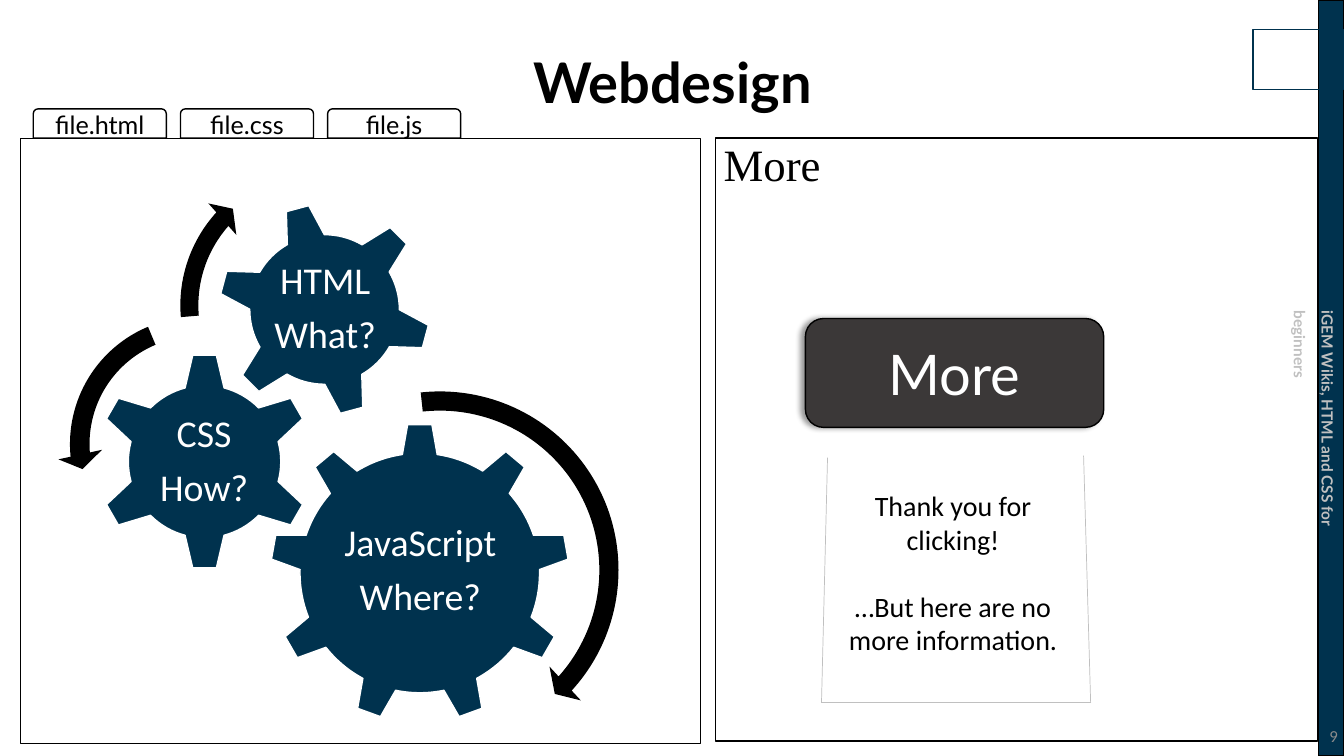
from lxml import etree
from pptx import Presentation
from pptx.dml.color import RGBColor
from pptx.enum.shapes import MSO_SHAPE
from pptx.enum.text import MSO_ANCHOR, PP_ALIGN
from pptx.oxml.ns import qn
from pptx.util import Inches, Pt

RECTANGLE = MSO_SHAPE.RECTANGLE
ROUNDED = MSO_SHAPE.ROUNDED_RECTANGLE
TAB = MSO_SHAPE.ROUND_2_SAME_RECTANGLE
GEAR_6 = MSO_SHAPE.GEAR_6
GEAR_9 = MSO_SHAPE.GEAR_9
ARROW = MSO_SHAPE.CIRCULAR_ARROW
LEFT_ARROW = MSO_SHAPE.LEFT_CIRCULAR_ARROW
TOP, MIDDLE = MSO_ANCHOR.TOP, MSO_ANCHOR.MIDDLE
LEFT, CENTER, RIGHT = PP_ALIGN.LEFT, PP_ALIGN.CENTER, PP_ALIGN.RIGHT

CELL = Inches(0.1)
COLUMNS, ROWS = 133.33, 75


def color(code):
    return RGBColor.from_string(code)


def cells(*counts):
    return [round(count * CELL) for count in counts]


class Board:
    navy, black, white = "00324E", "000000", "FFFFFF"
    charcoal, silver, gray = "3B3838", "C0C0C0", "8C8C8C"
    heading, body, serif = "Lato", "Calibri", "Times New Roman"

    def __init__(self, slide):
        self.slide = slide

    def paint(self, shape, fill, line, weight):
        shape.shadow.inherit = False
        if fill:
            shape.fill.solid()
            shape.fill.fore_color.rgb = color(fill)
        else:
            shape.fill.background()
        if line:
            shape.line.color.rgb = color(line)
            shape.line.width = Pt(weight)
        else:
            shape.line.fill.background()

    def shape(self, kind, box, fill=None, line=None, weight=1, rotation=0, adjustments=()):
        shape = self.slide.shapes.add_shape(kind, *cells(*box))
        self.paint(shape, fill, line, weight)
        shape.rotation = rotation
        for index, value in enumerate(adjustments):
            shape.adjustments[index] = value
        return shape

    def outline(self, points, fill, line, weight):
        start, *rest = [cells(*point) for point in points]
        builder = self.slide.shapes.build_freeform(*start)
        builder.add_line_segments(rest, close=False)
        shape = builder.convert_to_shape()
        self.paint(shape, fill, line, weight)
        return shape

    def label(self, shape, lines, size, font, ink, bold=False, align=CENTER,
              anchor=MIDDLE, spacing=1, gap=0, insets=(1, 0.5, 1, 0.5)):
        frame = shape.text_frame
        frame.word_wrap = True
        frame.vertical_anchor = anchor
        (frame.margin_left, frame.margin_top,
         frame.margin_right, frame.margin_bottom) = cells(*insets)
        for index, line in enumerate(lines):
            paragraph = frame.add_paragraph() if index else frame.paragraphs[0]
            paragraph.alignment = align
            paragraph.line_spacing = spacing
            if index:
                paragraph.space_before = Pt(gap)
            run = paragraph.add_run()
            run.text = line
            run.font.size = Pt(size)
            run.font.name = font
            run.font.bold = bold
            run.font.color.rgb = color(ink)

    def text(self, box, lines, size, font, ink, rotation=0, **style):
        shape = self.slide.shapes.add_textbox(*cells(*box))
        shape.rotation = rotation
        self.label(shape, lines, size, font, ink, **style)

    def gear(self, kind, box, label_box, lines, rotation=0):
        self.shape(kind, box, self.navy, self.white, rotation=rotation)
        self.text(label_box, lines, 27, self.body, self.white,
                  spacing=0.9, gap=9.45, insets=(0.4,) * 4)

    def cast_shadow(self, shape, blur, distance, degrees, opacity):
        effects = shape._element.spPr.find(qn("a:effectLst"))
        shadow = etree.SubElement(
            effects, qn("a:outerShdw"), blurRad=str(Pt(blur)),
            dist=str(Pt(distance)), dir=str(degrees * 60000),
            algn="r", rotWithShape="0")
        tint = etree.SubElement(shadow, qn("a:srgbClr"), val=self.black)
        etree.SubElement(tint, qn("a:alpha"), val=str(opacity * 1000))


def draw_frame(board):
    board.shape(RECTANGLE, (130.8, 0, 2.55, ROWS), board.navy, board.black)
    board.text((117.3, 43.2, 30.1, 3.4), ["iGEM Wikis, HTML and CSS for beginners"],
               11, board.heading, board.silver, rotation=90, bold=True,
               align=LEFT, anchor=TOP, spacing=1.5, insets=(1, 0.5, 3, 0.5))
    board.shape(RECTANGLE, (124.3, 2.9, 9, 6), line=board.navy)
    board.text((9.2, 1.2, 115, 14.5), ["Webdesign"], 40, board.heading,
               board.black, bold=True, spacing=0.9)
    board.text((103.7, 71, 30, 4), ["9"], 12, board.body, board.gray, align=RIGHT)


def draw_code_panel(board):
    board.shape(RECTANGLE, (2, 13.7, 67.5, 60.1), line=board.black, weight=0.75)
    for index, name in enumerate(("file.html", "file.css", "file.js")):
        tab = board.shape(TAB, (3.3 + 14.6 * index, 10.8, 13.2, 2.9), line=board.black)
        board.label(tab, [name], 18, board.heading, board.black)
    board.gear(GEAR_9, (26.8, 42, 29.7, 29.7), (32.8, 49, 17.8, 15.3),
               ["JavaScript", "Where?"])
    board.gear(GEAR_6, (9.5, 35, 21.6, 21.6), (14.9, 40.5, 10.7, 10.7),
               ["CSS", "How?"])
    board.gear(GEAR_6, (21.6, 20.1, 21.2, 21.2), (26.3, 24.7, 11.9, 11.9),
               ["HTML", "What?"], rotation=345)
    arrows = (
        (ARROW, 24.6, 37.5, 38.1, (0.05, 2.99, 25.32, 158.29, 0.06)),
        (LEFT_ARROW, 5.7, 30.2, 27.7, (0.07, 4.3, 104.89, 148.38, 0.08)),
        (ARROW, 16.7, 15.4, 29.8, (0.06, 3.94, 133.14, 105.08, 0.07)),
    )
    for kind, left, top, side, bends in arrows:
        board.shape(kind, (left, top, side, side), board.black, adjustments=bends)


def draw_result_panel(board):
    board.shape(RECTANGLE, (71, 13.7, 59.7, 59.8), line=board.black)
    board.text((70.8, 13.1, 38.7, 6.4), ["More"], 32, board.serif, board.black,
               align=LEFT, anchor=TOP)
    button = board.shape(ROUNDED, (79.9, 31.6, 29.6, 10.8), board.charcoal, board.black)
    board.cast_shadow(button, blur=4, distance=3, degrees=180, opacity=40)
    board.label(button, ["More"], 40, board.heading, board.white)
    message = board.outline(
        ((82.1, 45.4), (81.5, 69.7), (108.2, 69.7), (107.5, 45.2)),
        board.white, board.silver, 0.5)
    board.label(message, ["Thank you for clicking!", "…But here are no more information."],
                20, board.body, board.black, gap=24, insets=(2, 0.5, 2.6, 1.8))


def main():
    presentation = Presentation()
    presentation.slide_width, presentation.slide_height = cells(COLUMNS, ROWS)
    board = Board(presentation.slides.add_slide(presentation.slide_layouts[6]))
    draw_frame(board)
    draw_code_panel(board)
    draw_result_panel(board)
    presentation.save("out.pptx")


if __name__ == "__main__":
    main()
